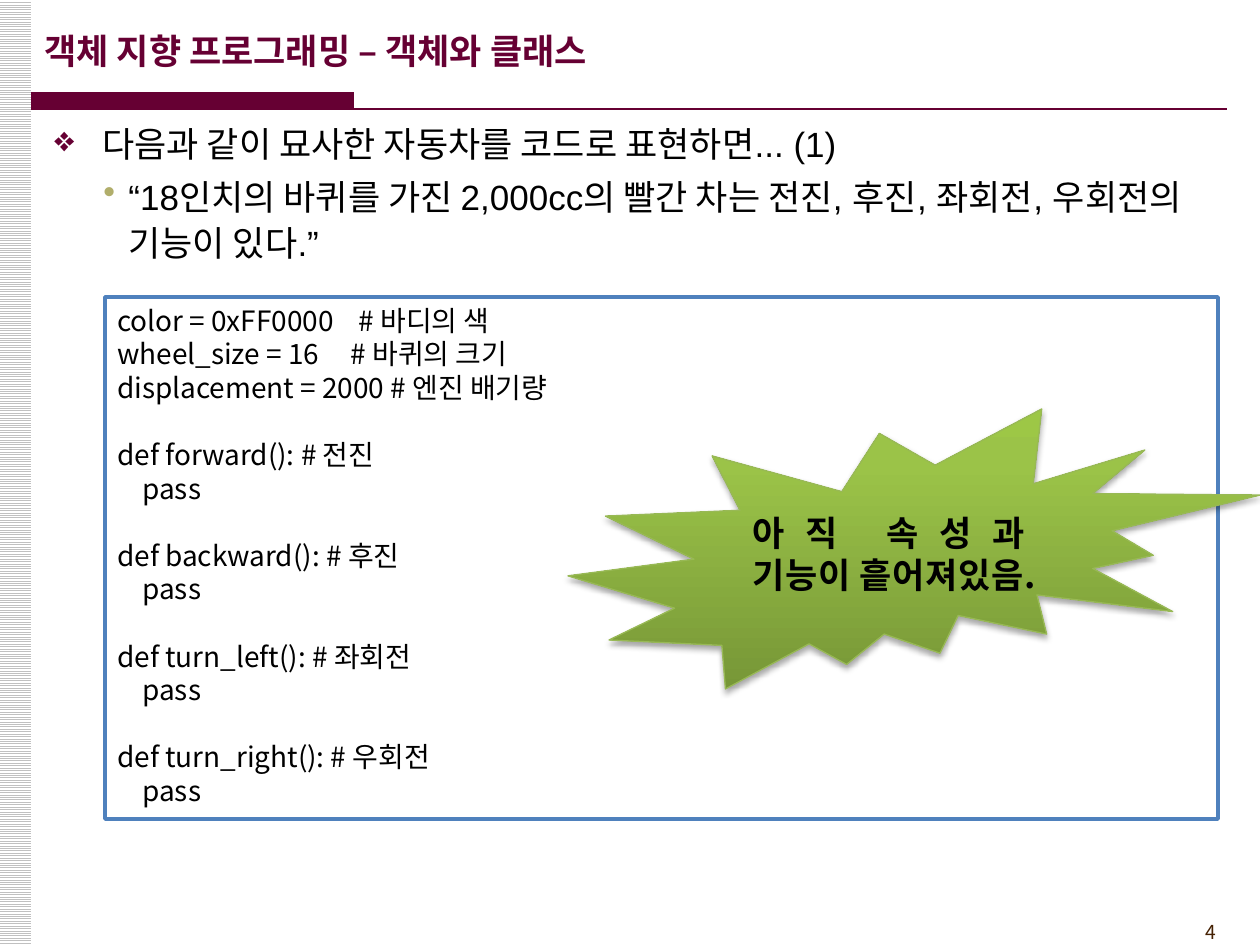
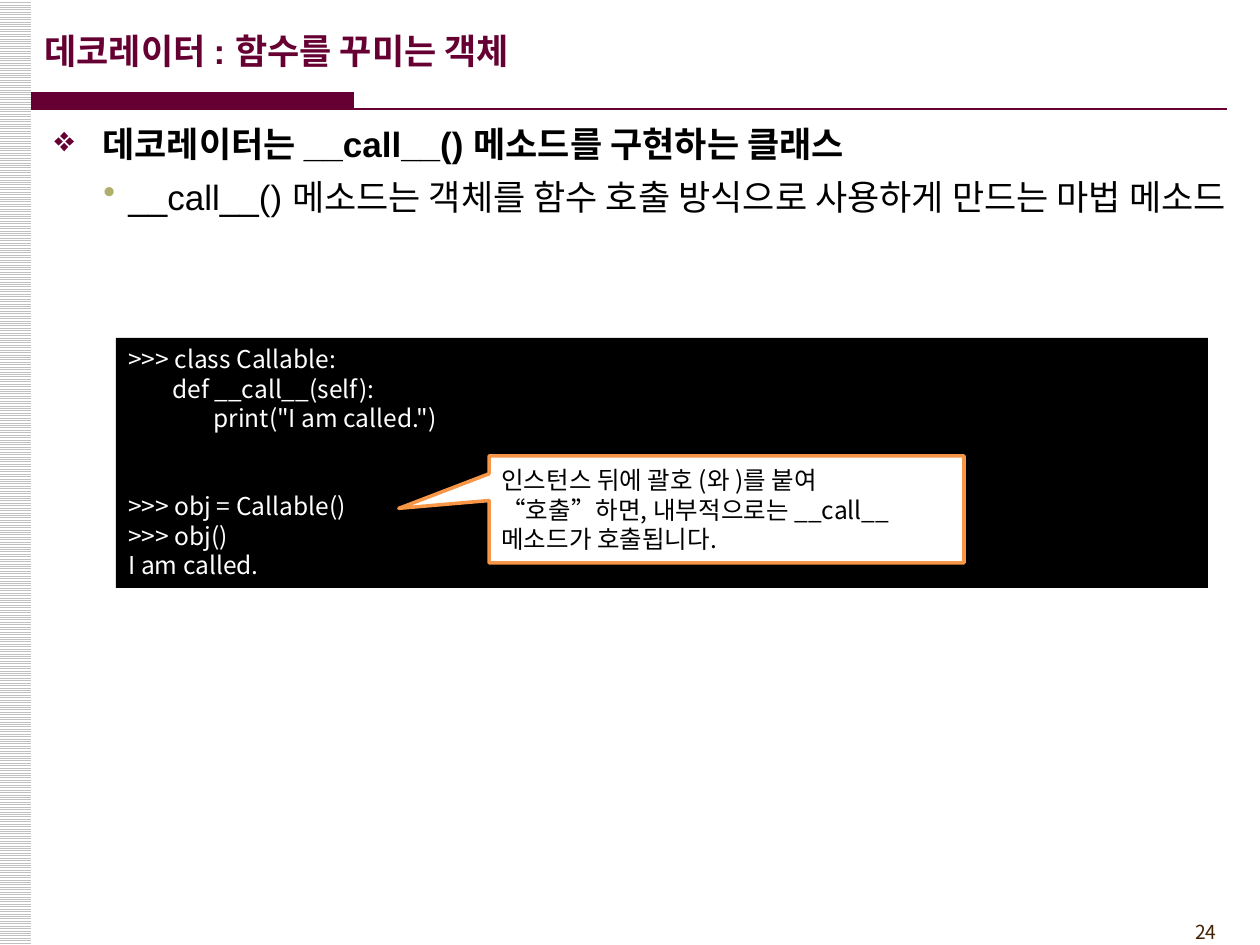
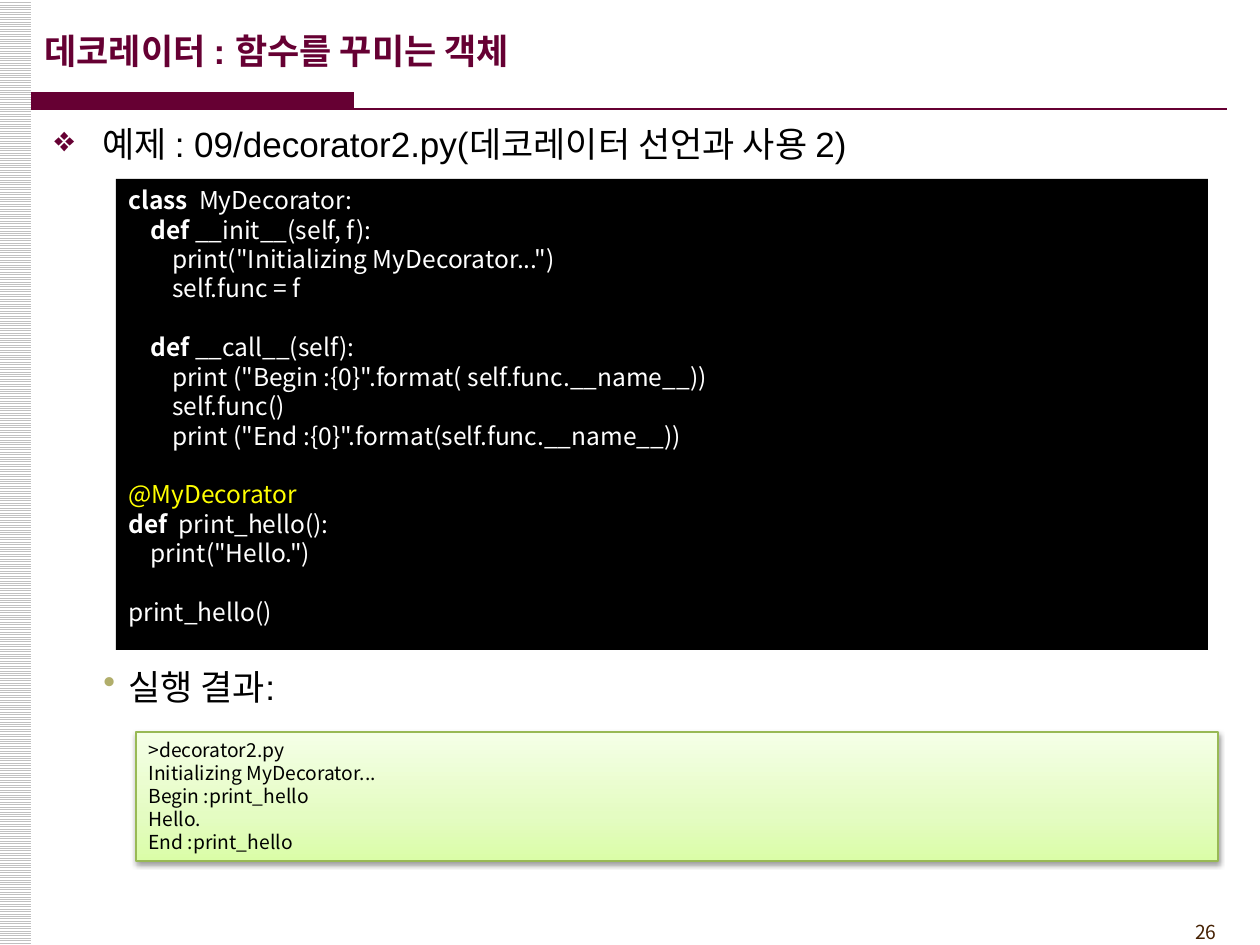
from pptx import Presentation, util as u
from pptx.dml.color import RGBColor
from pptx.enum import dml, shapes, text
from pptx.oxml import parse_xml
from pptx.oxml.ns import nsdecls, qn
from lxml import etree

SCALE = 914400 / 126
HUES = {
    "wine": "660033", "olive": "B1AE6B", "brown": "452103", "grey": "C0C0C0",
    "white": "FFFFFF", "black": "000000", "yellow": "FFFF00",
    "blue": "4F81BD", "orange": "F79646", "green": "98B955",
}
RGB = {name: RGBColor.from_string(hue) for name, hue in HUES.items()}
SANS, CJK = "Arial", "Noto Sans CJK KR"
KIND = shapes.MSO_SHAPE
TOP, MID = text.MSO_ANCHOR.TOP, text.MSO_ANCHOR.MIDDLE
LEFT, RIGHT, JUST = text.PP_ALIGN.LEFT, text.PP_ALIGN.RIGHT, text.PP_ALIGN.JUSTIFY
BOLD = {"bold": True}
HEAD = {"size": 20, "name": SANS, "hue": "wine", "bold": True}
BODY = {"size": 20, "name": SANS, "hue": "black"}
CODE = {"size": 16, "name": CJK, "hue": "black"}
DARK = {"size": 14, "name": CJK, "hue": "white"}
NOTE = {"size": 14, "name": CJK, "hue": "black"}
SMALL = {"size": 11, "name": CJK, "hue": "black"}
PAGE = {"size": 11, "name": CJK, "hue": "brown"}
LEVELS = [
    {"mark": "❖", "hue": "wine", "left": 48, "hang": 48, "lead": 24, "after": 0},
    {"mark": "•", "hue": "olive", "left": 74, "hang": 25, "lead": 26.4, "after": 3},
]


def box(slide, kind, at, fill=None, line=None, width=1, glow=None):
    spot = [round(v * SCALE) for v in at]
    if kind is None:
        return slide.shapes.add_textbox(*spot)
    shape = slide.shapes.add_shape(kind, *spot)
    shape.shadow.inherit = False
    if glow:
        stops = "".join(
            f'<a:gs pos="{pos * 1000}"><a:srgbClr val="{hue}"/></a:gs>'
            for pos, hue in glow["stops"])
        prop = shape.element.spPr
        prop.find(qn("a:prstGeom")).addnext(parse_xml(
            f'<a:gradFill {nsdecls("a")} rotWithShape="1"><a:gsLst>{stops}</a:gsLst>'
            '<a:lin ang="16200000" scaled="0"/></a:gradFill>'))
        prop.find(qn("a:effectLst")).append(parse_xml(
            f'<a:outerShdw {nsdecls("a")} blurRad="40000" dist="{glow["dist"]}" '
            'dir="5400000" rotWithShape="0"><a:srgbClr val="000000">'
            f'<a:alpha val="{glow["alpha"] * 1000}"/></a:srgbClr></a:outerShdw>'))
    elif fill:
        shape.fill.solid()
        shape.fill.fore_color.rgb = RGB[fill]
    if line:
        shape.line.color.rgb = RGB[line]
        shape.line.width = u.Pt(width)
    else:
        shape.line.fill.background()
    return shape


def write(shape, paras, form, align=LEFT, anchor=TOP, levels=None):
    frame = shape.text_frame
    frame.word_wrap = True
    frame.vertical_anchor = anchor
    gap, first = 0, True
    for num, runs in enumerate(paras):
        if not runs:
            gap += form["size"] * 1.2
            continue
        para = frame.paragraphs[0] if first else frame.add_paragraph()
        para.alignment = align
        para.line_spacing = u.Pt(form["size"] * 1.2)
        if gap:
            para.space_before = u.Pt(gap)
        if levels:
            rule = LEVELS[levels[num]]
            para.line_spacing = u.Pt(rule["lead"])
            para.space_before = u.Pt(0 if first else 4)
            para.space_after = u.Pt(rule["after"])
            prop = para._p.get_or_add_pPr()
            prop.set("marL", str(round(rule["left"] * SCALE)))
            prop.set("indent", str(round(-rule["hang"] * SCALE)))
            tint = etree.SubElement(prop, qn("a:buClr"))
            etree.SubElement(tint, qn("a:srgbClr"), val=HUES[rule["hue"]])
            etree.SubElement(prop, qn("a:buChar"), char=rule["mark"])
        gap, first = 0, False
        for words, extra in [(runs, {})] if isinstance(runs, str) else runs:
            run = para.add_run()
            run.text = words
            look = {"bold": False, **form, **extra}
            run.font.color.rgb = RGB[look.pop("hue")]
            look["size"] = u.Pt(look["size"])
            for key, val in look.items():
                setattr(run.font, key, val)
            run.font._element.find(qn("a:latin")).addnext(
                parse_xml(f'<a:ea {nsdecls("a")} typeface="{CJK}"/>'))


deck = Presentation()
deck.slide_width, deck.slide_height = round(1260 * SCALE), round(945 * SCALE)

DECOR = "데코레이터 : 함수를 꾸미는 객체"
PAGES = [
    ("4", "객체 지향 프로그래밍 – 객체와 클래스", [
        "다음과 같이 묘사한 자동차를 코드로 표현하면... (1)",
        "“18인치의 바퀴를 가진 2,000cc의 빨간 차는 전진, 후진, 좌회전, 우회전의 기능이 있다.”"]),
    ("24", DECOR, [
        [("데코레이터는 __call__() 메소드를 구현하는 클래스", BOLD)],
        "__call__() 메소드는 객체를 함수 호출 방식으로 사용하게 만드는 마법 메소드"]),
    ("26", DECOR, ["예제 : 09/decorator2.py(데코레이터 선언과 사용 2)"]),
]
slides = []
for page, title, points in PAGES:
    slide = deck.slides.add_slide(deck.slide_layouts[6])
    slides.append(slide)
    strip = box(slide, KIND.RECTANGLE, (-1, 0, 32, 945))
    strip.fill.patterned()
    strip.fill.pattern = dml.MSO_PATTERN.LIGHT_HORIZONTAL
    strip.fill.fore_color.rgb = RGB["grey"]
    strip.fill.back_color.rgb = RGB["white"]
    write(box(slide, None, (1124, 914, 105, 37)), [page], PAGE, RIGHT)
    box(slide, KIND.RECTANGLE, (31, 92, 323, 17), "wine")
    ends = [round(v * SCALE) for v in (31, 109, 1227, 109)]
    rule = slide.shapes.add_connector(shapes.MSO_CONNECTOR.STRAIGHT, *ends)
    rule.line.color.rgb = RGB["wine"]
    rule.line.width = u.Pt(1.5)
    etree.SubElement(rule._element.spPr, qn("a:effectLst"))
    write(box(slide, None, (42, 116, 1197, 788)), points, BODY, levels=[0, 1])
    write(box(slide, None, (32, 11, 1042, 79)), [title], HEAD, anchor=MID)

car, call, deco = slides

lines = [
    "color = 0xFF0000    # 바디의 색",
    "wheel_size = 16     # 바퀴의 크기",
    "displacement = 2000 # 엔진 배기량",
]
for name, move in [("forward", "전진"), ("backward", "후진"),
                   ("turn_left", "좌회전"), ("turn_right", "우회전")]:
    lines += ["", f"def {name}(): # {move}", "    pass"]
panel = box(car, KIND.RECTANGLE, (105, 297, 1113, 522), "white", "blue", 2)
write(panel, lines, CODE, JUST)
burst = box(car, KIND.EXPLOSION2, (568, 409, 692, 280), line="green", width=0.75, glow={
    "stops": [(0, "779737"), (80, "9BC348"), (100, "9DC746")],
    "dist": 23000, "alpha": 35})
write(burst, ["아직 속성과 기능이 흩어져있음."], {**CODE, "size": 20, "bold": True}, JUST, MID)

shell = box(call, KIND.RECTANGLE, (116, 338, 1092, 250), "black")
write(shell, [
    ">>> class Callable:",
    "        def __call__(self):",
    "\t    print(\"I am called.\")",
    "",
    "",
    ">>> obj = Callable()",
    ">>> obj()",
    "I am called.",
], DARK, JUST)
hint = box(call, KIND.RECTANGULAR_CALLOUT, (489, 456, 475, 107), "white", "orange", 2)
hint.adjustments[0], hint.adjustments[1] = -0.69, -0.01
write(hint, ["인스턴스 뒤에 괄호 (와 )를 붙여 “호출”하면, 내부적으로는 __call__ 메소드가 호출됩니다."],
      NOTE, anchor=MID)

source = box(deco, KIND.RECTANGLE, (116, 179, 1092, 471), "black")
write(source, [
    [("class  ", BOLD), ("MyDecorator:", {})],
    [("    ", {}), ("def", BOLD), (" __init__(self, f):", {})],
    "        print(\"Initializing MyDecorator...\")",
    "        self.func = f",
    "",
    [("    ", {}), ("def", BOLD), (" __call__(self):", {})],
    "        print (\"Begin :{0}\".format( self.func.__name__))",
    "        self.func()",
    "        print (\"End :{0}\".format(self.func.__name__))",
    "",
    [("@MyDecorator", {"hue": "yellow"})],
    [("def  ", BOLD), ("print_hello():", {})],
    "    print(\"Hello.\")",
    "",
    "print_hello()",
], DARK)
write(box(deco, None, (42, 655, 1197, 60)), ["실행 결과:"], BODY, levels=[1])
result = box(deco, KIND.RECTANGLE, (136, 732, 1082, 129), line="green", width=0.75, glow={
    "stops": [(0, "DAFDA7"), (35, "E4FCC2"), (100, "F5FFE7")],
    "dist": 20000, "alpha": 38})
write(result, [
    ">decorator2.py",
    "Initializing MyDecorator...",
    "Begin :print_hello",
    "Hello.",
    "End :print_hello",
], SMALL)

deck.save("out.pptx")
